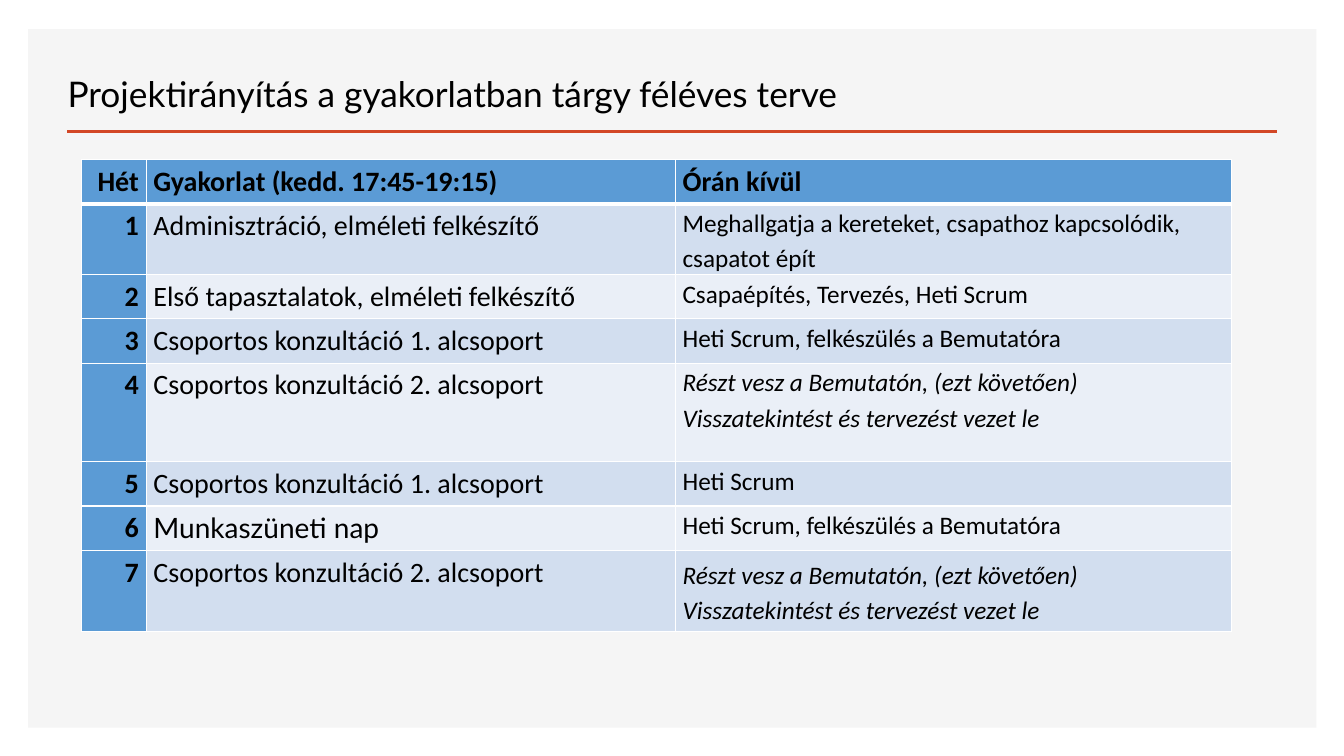
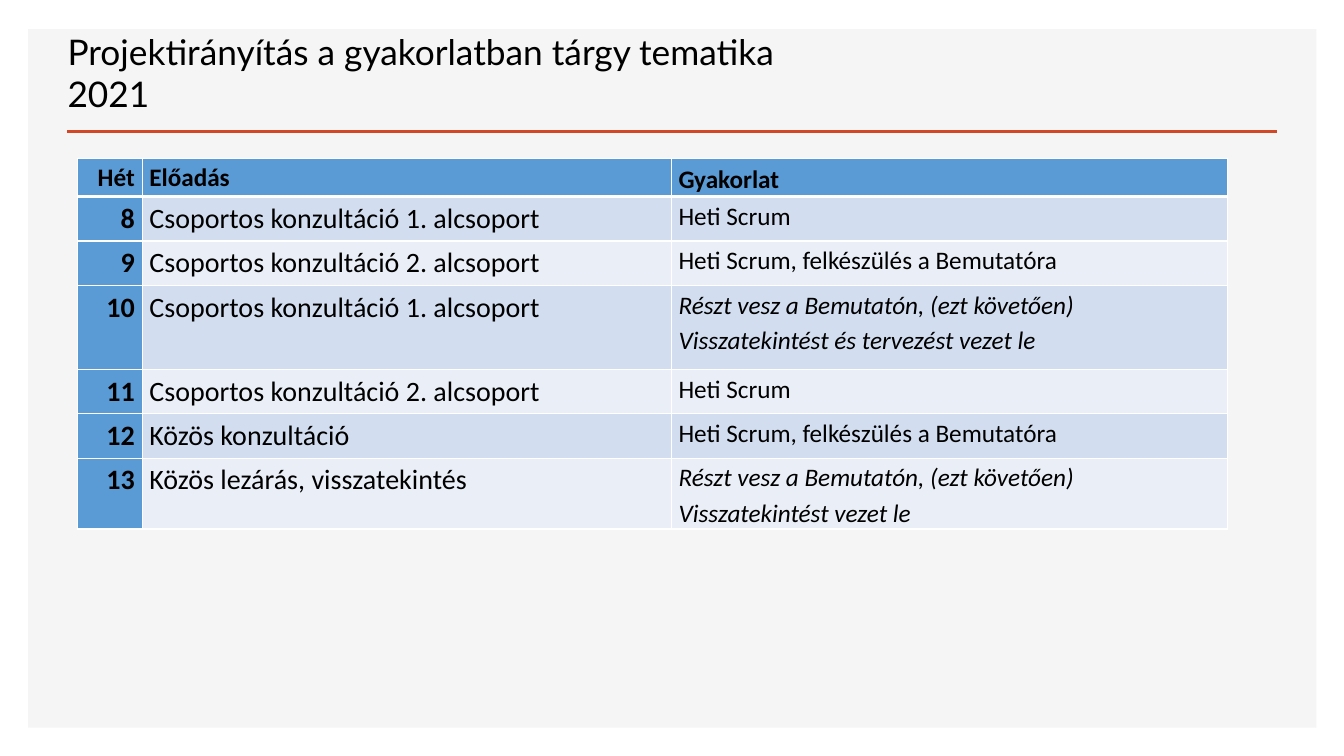
from dataclasses import dataclass

from lxml import etree
from pptx import Presentation
from pptx.dml.color import RGBColor
from pptx.enum.shapes import MSO_CONNECTOR, MSO_SHAPE
from pptx.enum.text import MSO_ANCHOR, MSO_AUTO_SIZE, PP_ALIGN
from pptx.oxml.ns import qn
from pptx.util import Pt

BLACK = RGBColor(0x00, 0x00, 0x00)
WHITE = RGBColor(0xFF, 0xFF, 0xFF)
PANEL = RGBColor(0xF5, 0xF5, 0xF5)
ACCENT = RGBColor(0xD2, 0x47, 0x26)
HEADER = RGBColor(0x5B, 0x9B, 0xD5)
BANDS = (RGBColor(0xD2, 0xDE, 0xEF), RGBColor(0xEA, 0xEF, 0xF7))

TITLE_FONT = "Lato"
TABLE_FONT = "Calibri"
COLUMN_WIDTHS = (46.08, 378, 397.44)
ROW = 31.7

GROUP_1 = "Csoportos konzultáció 1. alcsoport"
GROUP_2 = "Csoportos konzultáció 2. alcsoport"
SCRUM = "Heti Scrum"
PREPARE = "Heti Scrum, felkészülés a Bemutatóra"
DEMO = "Részt vesz a Bemutatón, (ezt követően)\v"
DEMO_AND_PLAN = DEMO + "Visszatekintést és tervezést vezet le"
DEMO_AND_REVIEW = DEMO + "Visszatekintést vezet le"


@dataclass(frozen=True)
class CellStyle:
    """Text look of a table cell."""
    size: float = 20
    bold: bool = False
    italic: bool = False
    font: str = TABLE_FONT
    align: PP_ALIGN = PP_ALIGN.LEFT
    spacing: float = 1.0
    inset: float = 3.6
    anchor: MSO_ANCHOR = MSO_ANCHOR.TOP


WEEK = CellStyle(bold=True, align=PP_ALIGN.RIGHT)
TOPIC = CellStyle()
TOPIC_LATO = CellStyle(font=TITLE_FONT)
TASK = CellStyle(size=18, spacing=1.15, inset=0)
TASK_ITALIC = CellStyle(size=18, spacing=1.15, inset=0, italic=True)
TASK_MIDDLE = CellStyle(size=18, spacing=1.15, italic=True,
                        anchor=MSO_ANCHOR.MIDDLE)
HEAD = CellStyle(bold=True)
HEAD_SMALL = CellStyle(size=18, bold=True, spacing=1.15, inset=0)
HEAD_SMALL_RIGHT = CellStyle(size=18, bold=True, spacing=1.15, inset=0,
                             align=PP_ALIGN.RIGHT)
HEAD_SMALL_MIDDLE = CellStyle(size=18, bold=True, spacing=1.15, inset=0,
                              anchor=MSO_ANCHOR.MIDDLE)

# Each row: height, then a (text, style) pair for every column.
FIRST_HALF = [
    (ROW, ("Hét", WEEK), ("Gyakorlat (kedd. 17:45-19:15)", HEAD),
     ("Órán kívül", HEAD)),
    (50.3, ("1", WEEK), ("Adminisztráció, elméleti felkészítő", TOPIC),
     ("Meghallgatja a kereteket, csapathoz kapcsolódik, csapatot épít", TASK)),
    (ROW, ("2", WEEK), ("Első tapasztalatok, elméleti felkészítő", TOPIC),
     ("Csapaépítés, Tervezés, Heti Scrum", TASK)),
    (ROW, ("3", WEEK), (GROUP_1, TOPIC), (PREPARE, TASK)),
    (70.3, ("4", WEEK), (GROUP_2, TOPIC), (DEMO_AND_PLAN, TASK_ITALIC)),
    (ROW, ("5", WEEK), (GROUP_1, TOPIC), (SCRUM, TASK)),
    (ROW, ("6", WEEK), ("Munkaszüneti nap", TOPIC_LATO), (PREPARE, TASK)),
    (57.5, ("7", WEEK), (GROUP_2, TOPIC), (DEMO_AND_PLAN, TASK_MIDDLE)),
]
SECOND_HALF = [
    (27.4, ("Hét", HEAD_SMALL_RIGHT), ("Előadás", HEAD_SMALL),
     ("Gyakorlat", HEAD_SMALL_MIDDLE)),
    (ROW, ("8", WEEK), (GROUP_1, TOPIC), (SCRUM, TASK)),
    (ROW, ("9", WEEK), (GROUP_2, TOPIC), (PREPARE, TASK)),
    (60, ("10", WEEK), (GROUP_1, TOPIC), (DEMO_AND_PLAN, TASK_ITALIC)),
    (ROW, ("11", WEEK), (GROUP_2, TOPIC), (SCRUM, TASK)),
    (ROW, ("12", WEEK), ("Közös konzultáció", TOPIC), (PREPARE, TASK)),
    (50.3, ("13", WEEK), ("Közös lezárás, visszatekintés", TOPIC),
     (DEMO_AND_REVIEW, TASK_ITALIC)),
]


def style_runs(paragraph, font, size, bold=False, italic=False):
    """Format every run of a paragraph."""
    for run in paragraph.runs:
        run.font.name = font
        run.font.size = Pt(size)
        run.font.bold = bold
        run.font.italic = italic
        run.font.color.rgb = BLACK


def add_backdrop(layout, slide):
    """Draw the panel and title rule, then move them to the shared layout."""
    panel = slide.shapes.add_shape(MSO_SHAPE.RECTANGLE, Pt(20.16), Pt(20.88),
                                   Pt(920.16), Pt(498.96))
    panel.shadow.inherit = False
    panel.fill.solid()
    panel.fill.fore_color.rgb = PANEL
    panel.line.fill.background()

    rule = slide.shapes.add_connector(MSO_CONNECTOR.STRAIGHT, Pt(47.9),
                                      Pt(94.1), Pt(912.24), Pt(94.1))
    rule.line.color.rgb = ACCENT
    rule.line.width = Pt(2)
    etree.SubElement(rule.element.spPr, qn("a:effectLst"))

    tree = layout.element.cSld.spTree
    for position, shape in enumerate((panel, rule), start=2):
        tree.insert(position, shape.element)


def set_title(slide, text, width):
    """Place and format the title placeholder."""
    title = slide.shapes.title
    title.left, title.top = Pt(41.04), Pt(35.28)
    title.width, title.height = Pt(width), Pt(50.4)
    frame = title.text_frame
    frame.text = text
    frame.word_wrap = True
    frame.auto_size = MSO_AUTO_SIZE.NONE
    frame.vertical_anchor = MSO_ANCHOR.BOTTOM
    paragraph = frame.paragraphs[0]
    paragraph.alignment = PP_ALIGN.LEFT
    style_runs(paragraph, TITLE_FONT, 25.2)


def set_borders(cell, bottom):
    """Give a cell white borders, with its own bottom width."""
    properties = cell._tc.get_or_add_tcPr()
    widths = {"a:lnL": 1, "a:lnR": 1, "a:lnT": 1, "a:lnB": bottom}
    for position, (tag, width) in enumerate(widths.items()):
        line = etree.Element(qn(tag), w=str(Pt(width)))
        fill = etree.SubElement(line, qn("a:solidFill"))
        etree.SubElement(fill, qn("a:srgbClr"), val=str(WHITE))
        properties.insert(position, line)


def fill_cell(cell, text, style, color):
    """Write and format one table cell."""
    cell.fill.solid()
    cell.fill.fore_color.rgb = color
    cell.margin_left = cell.margin_right = Pt(5.2)
    cell.margin_top = cell.margin_bottom = Pt(style.inset)
    cell.vertical_anchor = style.anchor
    cell.text_frame.text = text.replace("\v", "\v")
    paragraph = cell.text_frame.paragraphs[0]
    paragraph.alignment = style.align
    paragraph.line_spacing = style.spacing
    style_runs(paragraph, style.font, style.size, style.bold, style.italic)


def add_schedule(slide, left, top, rows):
    """Add the weekly schedule, with a header row and a week column."""
    height = sum(row[0] for row in rows)
    table = slide.shapes.add_table(len(rows), len(COLUMN_WIDTHS), Pt(left),
                                   Pt(top), Pt(sum(COLUMN_WIDTHS)),
                                   Pt(height)).table
    table.first_col = True
    for column, width in zip(table.columns, COLUMN_WIDTHS):
        column.width = Pt(width)
    for r, (row_height, *cells) in enumerate(rows):
        table.rows[r].height = Pt(row_height)
        for c, (text, style) in enumerate(cells):
            color = HEADER if r == 0 or c == 0 else BANDS[(r - 1) % 2]
            cell = table.cell(r, c)
            fill_cell(cell, text, style, color)
            set_borders(cell, bottom=3 if r == 0 else 1)
            if r == 1:
                cell._tc.tcPr.find(qn("a:lnT")).set("w", str(Pt(3)))


def main():
    """Build the two schedule slides."""
    deck = Presentation()
    deck.slide_width, deck.slide_height = Pt(960), Pt(540)
    layout = deck.slide_layouts.get_by_name("Title Only")

    first = deck.slides.add_slide(layout)
    add_backdrop(layout, first)
    set_title(first, "Projektirányítás a gyakorlatban tárgy féléves terve", 578.16)
    add_schedule(first, 58.32, 113.76, FIRST_HALF)

    second = deck.slides.add_slide(layout)
    set_title(second, "Projektirányítás a gyakorlatban tárgy tematika 2021", 583.92)
    add_schedule(second, 55.44, 113.04, SECOND_HALF)

    deck.save("out.pptx")


main()
